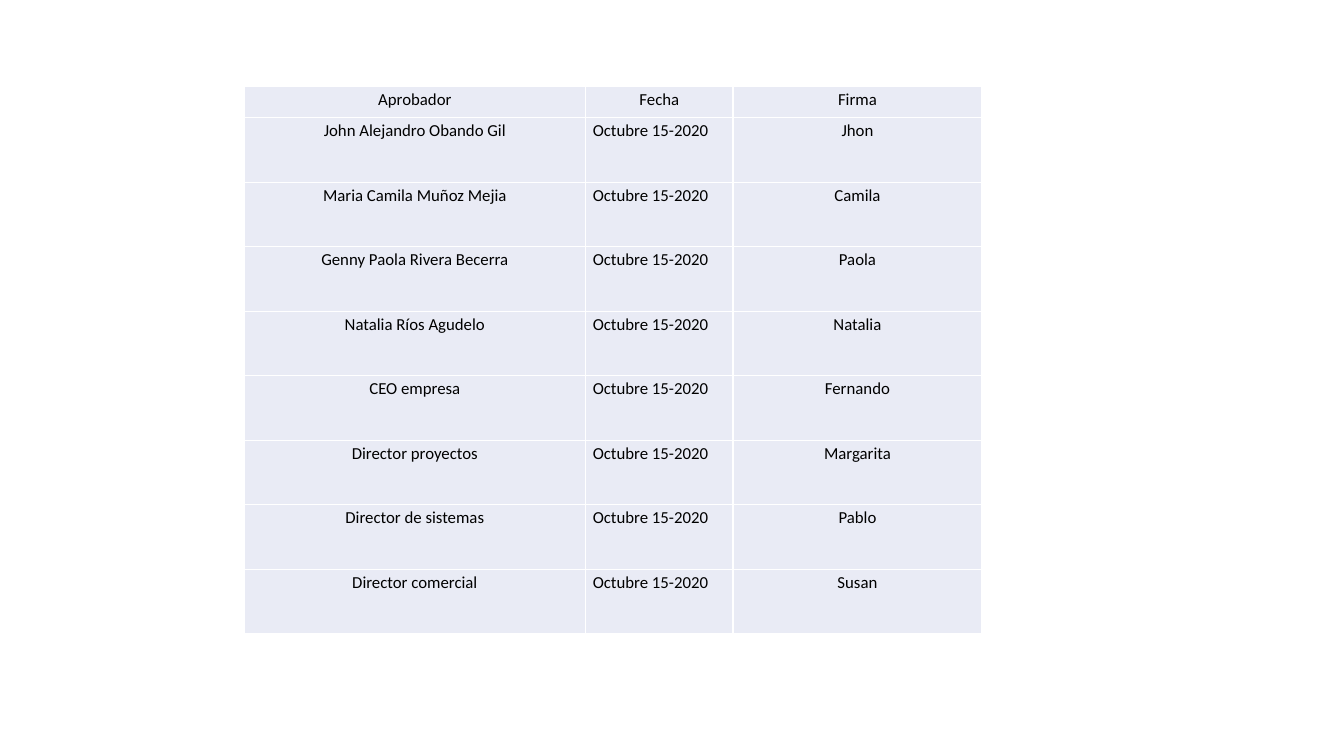
"""Build a slide with the table of approvers, dates and signatures."""
from dataclasses import dataclass

from lxml.etree import SubElement
from pptx import Presentation
from pptx.dml.color import RGBColor
from pptx.enum.text import PP_ALIGN
from pptx.oxml.ns import qn
from pptx.util import Inches, Pt


@dataclass(frozen=True)
class Theme:
    font: str = "Calibri"
    size: int = 12
    text: str = "000000"
    cell: str = "E9EBF5"
    border: str = "FFFFFF"
    border_width: int = 1


theme = Theme()
header = ("Aprobador", "Fecha", "Firma")
approval_date = "Octubre 15-2020"
signatures = {
    "John Alejandro Obando Gil": "Jhon",
    "Maria Camila Muñoz Mejia": "Camila",
    "Genny Paola Rivera Becerra": "Paola",
    "Natalia Ríos Agudelo": "Natalia",
    "CEO empresa": "Fernando",
    "Director proyectos": "Margarita",
    "Director de sistemas": "Pablo",
    "Director comercial": "Susan",
}
records = [header] + [(name, approval_date, mark) for name, mark in signatures.items()]
column_widths = (3.39, 1.46, 2.47)
row_heights = [0.31] + [0.64] * len(signatures)


def add_borders(cell):
    properties = cell._tc.get_or_add_tcPr()
    for side in ("lnL", "lnR", "lnT", "lnB"):
        line = SubElement(properties, qn(f"a:{side}"), w=str(Pt(theme.border_width)))
        fill = SubElement(line, qn("a:solidFill"))
        SubElement(fill, qn("a:srgbClr"), val=theme.border)


deck = Presentation()
deck.slide_width, deck.slide_height = Inches(13.33), Inches(7.5)
page = deck.slides.add_slide(deck.slide_layouts[6])

frame = page.shapes.add_table(
    len(records), len(header), Inches(2.42), Inches(0.86),
    Inches(sum(column_widths)), Inches(sum(row_heights)),
)
table = frame.table
table.first_row = table.horz_banding = False
for column, width in zip(table.columns, column_widths):
    column.width = Inches(width)
for row, height in zip(table.rows, row_heights):
    row.height = Inches(height)

for row, record in zip(table.rows, records):
    for cell, text in zip(row.cells, record):
        add_borders(cell)
        cell.fill.solid()
        cell.fill.fore_color.rgb = RGBColor.from_string(theme.cell)
        cell.margin_left = cell.margin_right = Inches(0.07)
        cell.margin_top = cell.margin_bottom = 0
        cell.text = text
        para = cell.text_frame.paragraphs[0]
        para.alignment = PP_ALIGN.LEFT if text == approval_date else PP_ALIGN.CENTER
        para.line_spacing = 1.15
        para.space_after = Pt(10)
        para.font.name = theme.font
        para.font.size = Pt(theme.size)
        para.font.color.rgb = RGBColor.from_string(theme.text)

deck.save("out.pptx")
